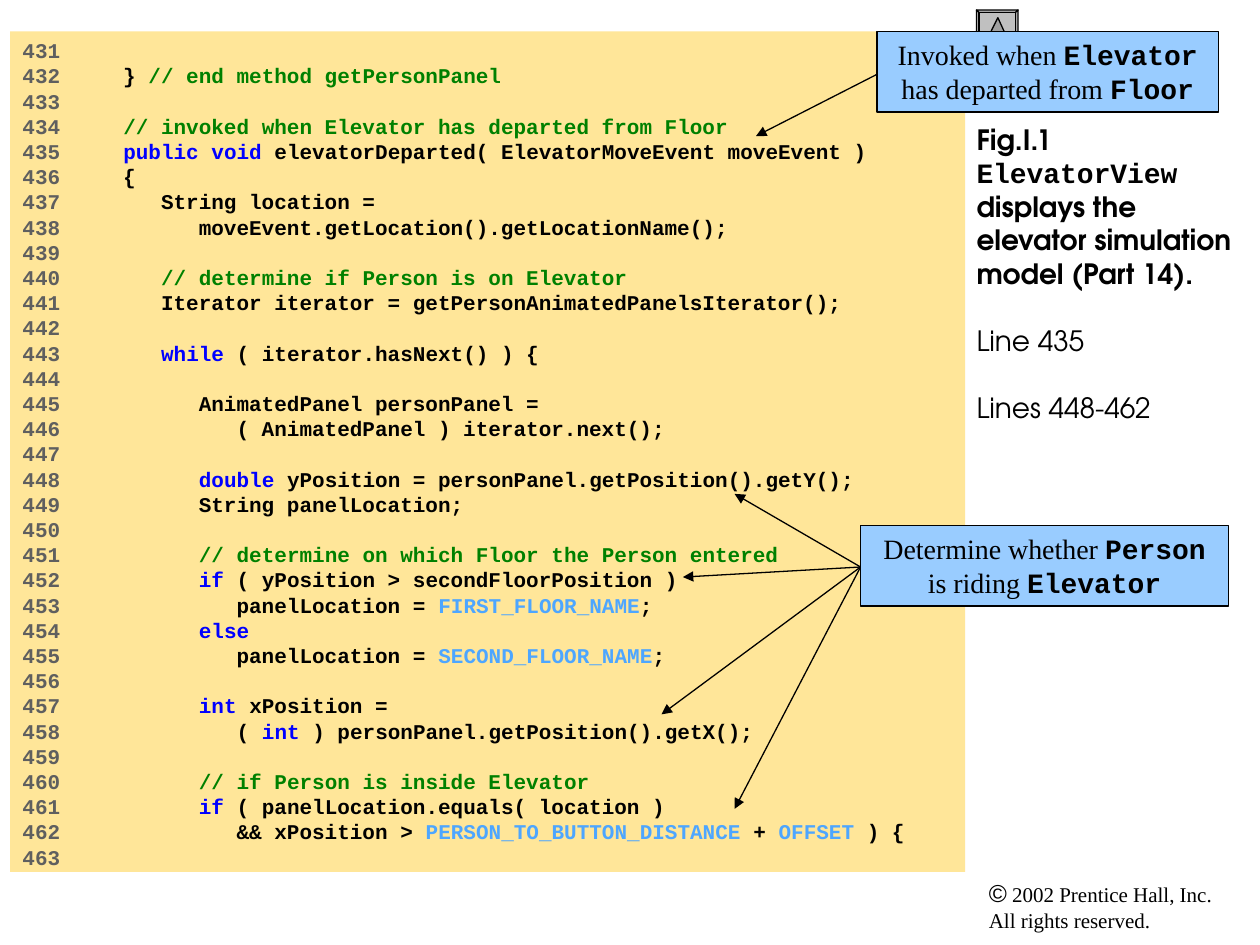
from dataclasses import dataclass
from itertools import groupby

from lxml import etree
from pptx import Presentation
from pptx.dml.color import RGBColor
from pptx.enum import shapes, text
from pptx.oxml import ns
from pptx.util import Inches, Pt

COLORS = {
    "ink": "000000", "number": "5F5F5F", "comment": "008000",
    "keyword": "0000FF", "constant": "4DA6FF", "code_panel": "FFE699",
    "callout": "99CCFF", "button": "C0C0C0", "button_icon": "A0A0A0",
}
SANS, SERIF, MONO = "TeX Gyre Adventor", "Times New Roman", "Courier New"
KEYWORDS = {"public", "void", "while", "double", "if", "else", "int"}
FIRST_LINE_NUMBER = 431
CODE_LINES = [
    "",
    "   } // end method getPersonPanel",
    "",
    "   // invoked when Elevator has departed from Floor",
    "   public void elevatorDeparted( ElevatorMoveEvent moveEvent )",
    "   {",
    "      String location =",
    "         moveEvent.getLocation().getLocationName();",
    "",
    "      // determine if Person is on Elevator",
    "      Iterator iterator = getPersonAnimatedPanelsIterator();",
    "",
    "      while ( iterator.hasNext() ) {",
    "",
    "         AnimatedPanel personPanel =",
    "            ( AnimatedPanel ) iterator.next();",
    "",
    "         double yPosition = personPanel.getPosition().getY();",
    "         String panelLocation;",
    "",
    "         // determine on which Floor the Person entered",
    "         if ( yPosition > secondFloorPosition )",
    "            panelLocation = FIRST_FLOOR_NAME;",
    "         else",
    "            panelLocation = SECOND_FLOOR_NAME;",
    "",
    "         int xPosition =",
    "            ( int ) personPanel.getPosition().getX();",
    "",
    "         // if Person is inside Elevator",
    "         if ( panelLocation.equals( location )",
    "            && xPosition > PERSON_TO_BUTTON_DISTANCE + OFFSET ) {",
    "",
]


@dataclass
class Span:
    text: str
    font: str
    size: float = 16
    bold: bool = False
    color: str = "ink"


@dataclass
class Box:
    left: float
    top: float
    width: float
    height: float
    fill: str = ""
    line: str = ""
    left_inset: float = 0.1


@dataclass
class Callout:
    box: Box
    spans: list[Span]
    origin: tuple[float, float]
    targets: list[tuple[float, float]]


CALLOUTS = [
    Callout(
        Box(6.96, 0.25, 2.71, 0.64, "callout", "ink"),
        [Span("Invoked when ", SERIF), Span("Elevator", MONO, bold=True),
         Span(" has departed from ", SERIF), Span("Floor", MONO, bold=True)],
        (6.98, 0.58), [(6, 1.08)],
    ),
    Callout(
        Box(6.83, 4.17, 2.92, 0.64, "callout", "ink"),
        [Span("Determine whether ", SERIF), Span("Person", MONO, bold=True),
         Span(" is riding ", SERIF), Span("Elevator", MONO, bold=True)],
        (6.83, 4.5), [(5.42, 4.58), (5.83, 6.42), (5.25, 5.67), (5.83, 3.92)],
    ),
]


def rgb(name: str) -> RGBColor:
    return RGBColor.from_string(COLORS[name])


def paint(shape, fill: str, line: str) -> None:
    shape.shadow.inherit = False
    for fill_format, color in ((shape.fill, fill), (shape.line.fill, line)):
        if color:
            fill_format.solid()
            fill_format.fore_color.rgb = rgb(color)
        else:
            fill_format.background()
    if line:
        shape.line.width = Pt(0.75)


def add_box(slide, box: Box, paragraphs: list[list[Span]], **paragraph_format) -> list:
    shape = slide.shapes.add_shape(
        shapes.MSO_SHAPE.RECTANGLE,
        *map(Inches, (box.left, box.top, box.width, box.height)))
    paint(shape, box.fill, box.line)
    frame = shape.text_frame
    frame_format = {
        "word_wrap": True, "vertical_anchor": text.MSO_ANCHOR.TOP,
        "margin_left": Inches(box.left_inset), "margin_right": Inches(0.1),
        "margin_top": Inches(0.05), "margin_bottom": Inches(0.05),
    }
    for name, value in frame_format.items():
        setattr(frame, name, value)
    for index, spans in enumerate(paragraphs):
        paragraph = frame.add_paragraph() if index else frame.paragraphs[0]
        for name, value in ({"alignment": text.PP_ALIGN.LEFT} | paragraph_format).items():
            setattr(paragraph, name, value)
        for span in spans:
            add_span(paragraph, span)
    return list(frame.paragraphs)


def add_span(paragraph, span: Span) -> None:
    for index, part in enumerate(span.text.split("\n")):
        if index:
            paragraph.add_line_break()
        if part:
            run = paragraph.add_run()
            run.text = part
            font_format = {"name": span.font, "size": Pt(span.size), "bold": span.bold}
            for name, value in font_format.items():
                setattr(run.font, name, value)
            run.font.color.rgb = rgb(span.color)


def word_color(word: str) -> str:
    if word in KEYWORDS:
        return "keyword"
    return "constant" if word.isupper() else "ink"


def code_spans(number: int, line: str) -> list[Span]:
    code, slashes, comment = line.partition("//")
    words = ["".join(chars) for _, chars in
             groupby(code, lambda char: char.isalnum() or char == "_")]
    pieces = [(f"{number}  " if line else str(number), "number")]
    pieces += [("".join(group), color) for color, group in groupby(words, word_color)]
    if slashes:
        pieces.append((slashes + comment, "comment"))
    return [Span(piece, MONO, 12, True, color) for piece, color in pieces]


def add_arrow(slide, start: tuple[float, float], end: tuple[float, float]) -> None:
    connector = slide.shapes.add_connector(
        shapes.MSO_CONNECTOR.STRAIGHT, *map(Inches, start + end))
    connector.line.color.rgb = rgb("ink")
    connector.line.width = Pt(0.75)
    properties = connector._element.spPr
    etree.SubElement(properties.find(ns.qn("a:ln")), ns.qn("a:tailEnd"), type="triangle")
    etree.SubElement(properties, ns.qn("a:effectLst"))


def add_polygon(slide, points: list[tuple[float, float]], fill: str) -> None:
    start, *others = [tuple(map(Inches, point)) for point in points]
    builder = slide.shapes.build_freeform(*start)
    builder.add_line_segments(others, close=True)
    paint(builder.convert_to_shape(), fill, "ink")


def square(left: float, top: float, side: float) -> list[tuple[float, float]]:
    return [(left, top), (left + side, top), (left + side, top + side), (left, top + side)]


def add_up_button(slide) -> None:
    outer, inner = square(7.75, 0.08, 0.33), square(7.77, 0.1, 0.29)
    for index in range(4):
        following = (index + 1) % 4
        add_polygon(slide, [outer[index], outer[following],
                            inner[following], inner[index]], "button")
    add_polygon(slide, inner, "button")
    add_polygon(slide, [(7.92, 0.14), (8.02, 0.36), (7.81, 0.36)], "button_icon")


def main() -> None:
    presentation = Presentation()
    presentation.slide_width, presentation.slide_height = Inches(10), Inches(7.5)
    slide = presentation.slides.add_slide(presentation.slide_layouts[6])

    add_box(slide, Box(7.75, 6.92, 2.17, 0.54), [[
        Span("©", "Arial", 14),
        Span(" 2002 Prentice Hall, Inc.\nAll rights reserved.", SERIF, 12)]])
    add_up_button(slide)
    caption = add_box(slide, Box(7.75, 0.92, 2.25, 6, left_inset=0), [
        [Span("Fig.I.1\n", SANS, bold=True), Span("ElevatorView", MONO, bold=True),
         Span(" displays the elevator simulation model (Part 14).", SANS, bold=True)],
        [Span("Line 435", SANS)],
        [Span("Lines 448-462", SANS)]])
    for paragraph in caption[1:]:
        paragraph.space_before = Pt(19.2)

    add_box(slide, Box(0.08, 0.25, 7.58, 6.67, "code_panel"),
            [code_spans(number, line) for number, line in
             enumerate(CODE_LINES, FIRST_LINE_NUMBER)],
            line_spacing=Pt(14.4))
    for callout in CALLOUTS:
        for target in callout.targets:
            add_arrow(slide, callout.origin, target)
        add_box(slide, callout.box, [callout.spans], alignment=text.PP_ALIGN.CENTER)
    presentation.save("out.pptx")


if __name__ == "__main__":
    main()
